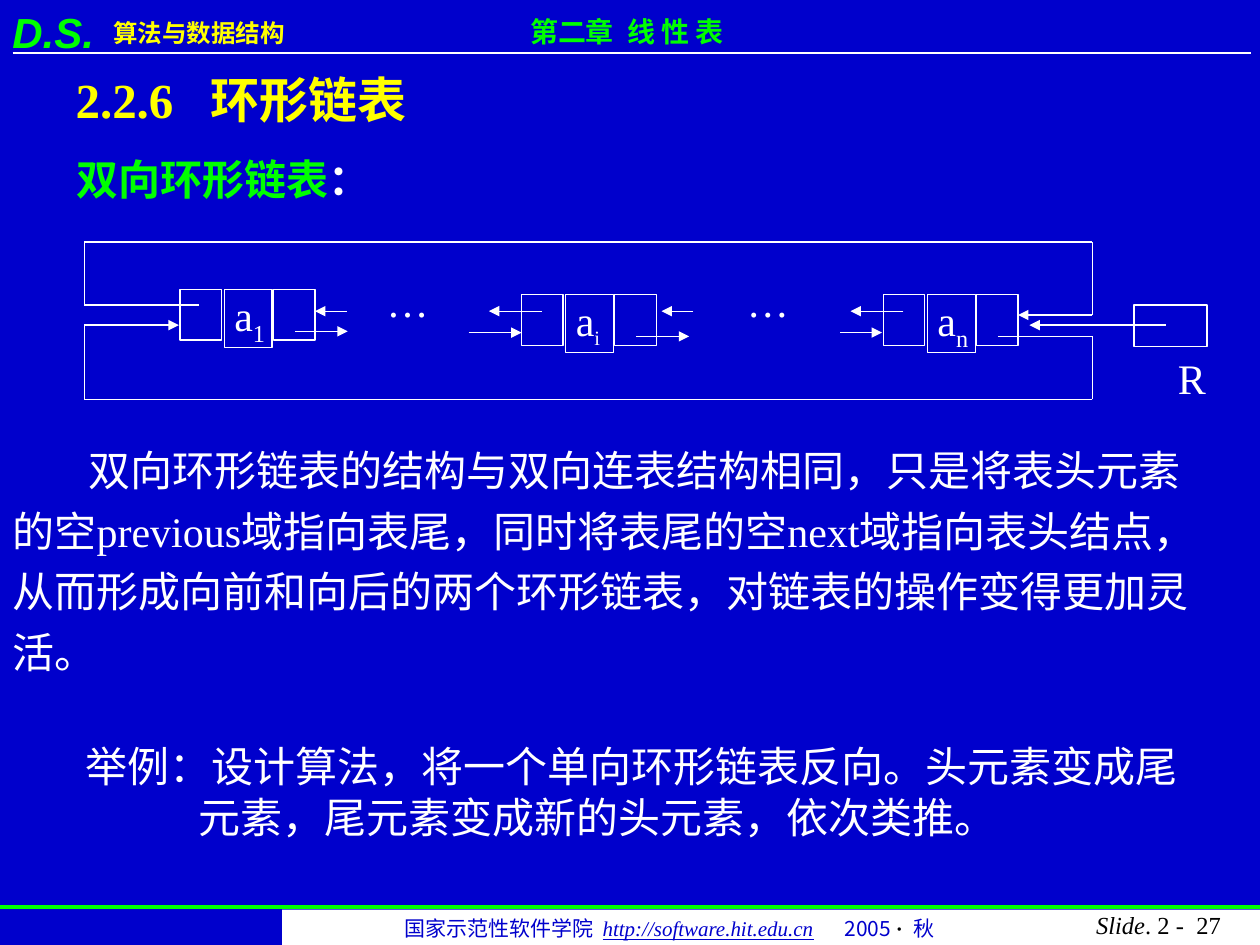
from itertools import pairwise

from lxml import etree
from pptx import Presentation
from pptx.dml.color import RGBColor
from pptx.enum.shapes import MSO_CONNECTOR, MSO_SHAPE
from pptx.enum.text import MSO_ANCHOR, MSO_AUTO_SIZE, PP_ALIGN
from pptx.oxml.ns import qn
from pptx.util import Inches, Pt

STRAIGHT = MSO_CONNECTOR.STRAIGHT
RECTANGLE = MSO_SHAPE.RECTANGLE
TOP = MSO_ANCHOR.TOP
NO_AUTOFIT = MSO_AUTO_SIZE.NONE
LEFT, RIGHT = PP_ALIGN.LEFT, PP_ALIGN.RIGHT

SERIF, SANS, CJK = "Times New Roman", "Arial", "Noto Sans CJK SC"
BLUE, GREEN, YELLOW = "0000CC", "00FF00", "FFFF00"
WHITE, BLACK = "FFFFFF", "000000"
rgb = RGBColor.from_string

prs = Presentation()
prs.slide_width, prs.slide_height = Inches(10), Inches(7.5)
slide = prs.slides.add_slide(prs.slide_layouts[1])
slide.background.fill.solid()
slide.background.fill.fore_color.rgb = rgb(BLUE)
shapes = slide.shapes


def write(shape, place, lines, size=24, color=WHITE, font=SERIF, bold=False,
          italic=False, insets=(0.1, 0.05), gaps=(), indents=()):
    """Place and fill a shape; lines hold run texts, gaps widen the lone spaces (pt)."""
    shape.left, shape.top, shape.width, shape.height = map(Inches, place)
    frame = shape.text_frame
    frame.auto_size, frame.word_wrap = NO_AUTOFIT, True
    frame.vertical_anchor = TOP
    frame.margin_left, frame.margin_top = map(Inches, insets)
    frame.margin_right = frame.margin_bottom = 0
    extra_spacing = iter(gaps)
    for number, line in enumerate(lines):
        paragraph = frame.add_paragraph() if number else frame.paragraphs[0]
        paragraph.alignment = LEFT
        paragraph.space_before = Pt(0)
        properties = paragraph._p.get_or_add_pPr()
        properties.set("marL", "0")
        properties.set("indent", str(Inches(indents[number] if indents else 0)))
        etree.SubElement(properties, qn("a:buNone"))
        for text in line:
            run = paragraph.add_run()
            run.text = text
            run.font.size, run.font.name = Pt(size), font
            run.font.bold, run.font.italic = bold, italic
            run.font.color.rgb = rgb(color)
            etree.SubElement(run._r.rPr, qn("a:ea"), typeface=CJK)
            if text == " ":
                run._r.rPr.set("spc", str(round(next(extra_spacing) * 100)))
    return frame.paragraphs


def draw_path(points, color=WHITE, width=0.75, arrow=True):
    """Draw straight segments through the points, with an arrow on the last."""
    for start, end in pairwise(points):
        segment = shapes.add_connector(STRAIGHT, *map(Inches, start + end))
        segment.line.color.rgb = rgb(color)
        segment.line.width = Pt(width)
        if arrow and end == points[-1]:
            etree.SubElement(segment.line._get_or_add_ln(), qn("a:tailEnd"),
                             type="triangle")
        etree.SubElement(segment._element.spPr, qn("a:effectLst"))


# Header
course = shapes.add_textbox(0, 0, 0, 0)
write(course, (0.8, 0.09, 1.9, 0.34), [["算法与数据结构"]], 14, YELLOW, CJK, bold=True)
draw_path([(0.1, 0.42), (9.93, 0.42)], arrow=False)
course_mark = shapes.add_textbox(0, 0, 0, 0)
write(course_mark, (0, 0, 1, 0.5), [["D.S."]], 24, GREEN, SANS, bold=True, italic=True)
chapter = shapes.add_textbox(0, 0, 0, 0)
write(chapter, (4.11, 0.07, 1.97, 0.37), [["第二章", " ", "线 性 表"]], 16, GREEN,
      bold=True, gaps=[4])

# Footer
draw_path([(0, 7.2), (10, 7.2)], GREEN, 2, arrow=False)
footer_band = shapes.add_shape(RECTANGLE, *map(Inches, (2.24, 7.22, 7.76, 0.28)))
footer_band.shadow.inherit = False
footer_band.fill.solid()
footer_band.fill.fore_color.rgb = rgb(WHITE)
footer_band.line.fill.background()
school = shapes.add_textbox(0, 0, 0, 0)
school_line = write(
    school, (3.11, 7.22, 4.72, 0.3),
    [["国家示范性软件学院", " ", "http://software.hit.edu.cn", " ", "2005 ", "·", " ", "秋"]],
    12, BLUE, CJK, gaps=[2.7, 15, 3.3])[0]
address, dot = school_line.runs[2], school_line.runs[5]
address.font.name, address.font.italic, address.font.underline = SERIF, True, True
dot.font.name, dot.font.bold, dot.font.color.rgb = SERIF, True, rgb(BLACK)
page = shapes.add_textbox(0, 0, 0, 0)
page_line = write(page, (8.31, 7.17, 1.38, 0.34), [["Slide", ". 2 -", " ", "27"]],
                  14, BLACK, gaps=[3.5])[0]
page_line.alignment = RIGHT
page_line.runs[0].font.italic = True

# Headings
write(shapes.title, (0.5, 0.5, 3.08, 0.57), [["2.2.6", " ", "环形链表"]], 28, YELLOW,
      bold=True, gaps=[14])
subheading = shapes.add_textbox(0, 0, 0, 0)
subheading_line = write(subheading, (0.51, 1.17, 2.53, 0.5),
                        [["双向环形链表", "："]], 24, GREEN, bold=True)[0]
subheading_line.runs[1].font.color.rgb = rgb(WHITE)

# List nodes: previous field, data field, next field
NODES = [(1.43, 2.3, "1", 24), (4.14, 2.34, "i", 20), (7.01, 2.34, "n", 24)]
fields = [(x + offset, y, width, height) for x, y, _, _ in NODES
          for offset, width, height in ((0, 0.33, 0.4), (0.35, 0.38, 0.46), (0.74, 0.33, 0.4))]
pointer_R = (9, 2.42, 0.58, 0.33)
cells = []
for place in fields + [pointer_R]:
    cell = shapes.add_shape(RECTANGLE, *map(Inches, place))
    cell.shadow.inherit = False
    cell.fill.background()
    cell.line.color.rgb = rgb(WHITE)
    cell.line.width = Pt(0.75)
    cells.append(cell)
for cell, place, (_, _, index, index_size) in zip(cells[1::3], fields[1::3], NODES):
    subscript = write(cell, place, [["a", index]], insets=(0.08, 0))[0].runs[1]
    subscript.font.size = Pt(index_size)
    subscript._r.rPr.set("baseline", "-25000")

# Links between neighbouring nodes
for x, y, _, _ in NODES[:2]:
    draw_path([(x + 0.91, y + 0.33), (x + 1.33, y + 0.33)])
for start, end, y in ((4.3, 3.88, 2.47), (7.17, 6.75, 2.47), (2.75, 2.5, 2.47),
                      (5.5, 5.25, 2.47), (3.72, 4.14, 2.64), (6.67, 7, 2.64),
                      (9.25, 8.17, 2.58)):
    draw_path([(start, y), (end, y)])

# Links that close the ring: next below, previous above
draw_path([(7.92, 2.67), (8.67, 2.67), (8.67, 3.17), (0.67, 3.17), (0.67, 2.58), (1.42, 2.58)])
draw_path([(1.58, 2.42), (0.67, 2.42), (0.67, 1.92), (8.67, 1.92), (8.67, 2.5), (8.08, 2.5)])

# Labels in the diagram
for label, x, y in (("…", 2.97, 2.14), ("…", 5.83, 2.14), ("R", 9.25, 2.75)):
    write(shapes.add_textbox(0, 0, 0, 0), (x, y, 0.53, 0.5), [[label]])

# Explanation and example
explanation = write(
    slide.placeholders[1], (0, 3.4, 9.91, 2.02),
    [["双向环形链表的结构与双向连表结构相同，只是将表头元素"],
     ["的空previous域指向表尾，同时将表尾的空next域指向表头结点，"],
     ["从而形成向前和向后的两个环形链表，对链表的操作变得更加灵"],
     ["活。"]], indents=[0.6, 0, 0, 0])
for paragraph in explanation:
    paragraph.line_spacing = 1.2
example = shapes.add_textbox(0, 0, 0, 0)
write(example, (0.58, 5.83, 8.86, 0.9),
      [["举例：设计算法，将一个单向环形链表反向。头元素变成尾"],
       ["元素，尾元素变成新的头元素，依次类推。"]], indents=[0, 0.9])

prs.save("out.pptx")
